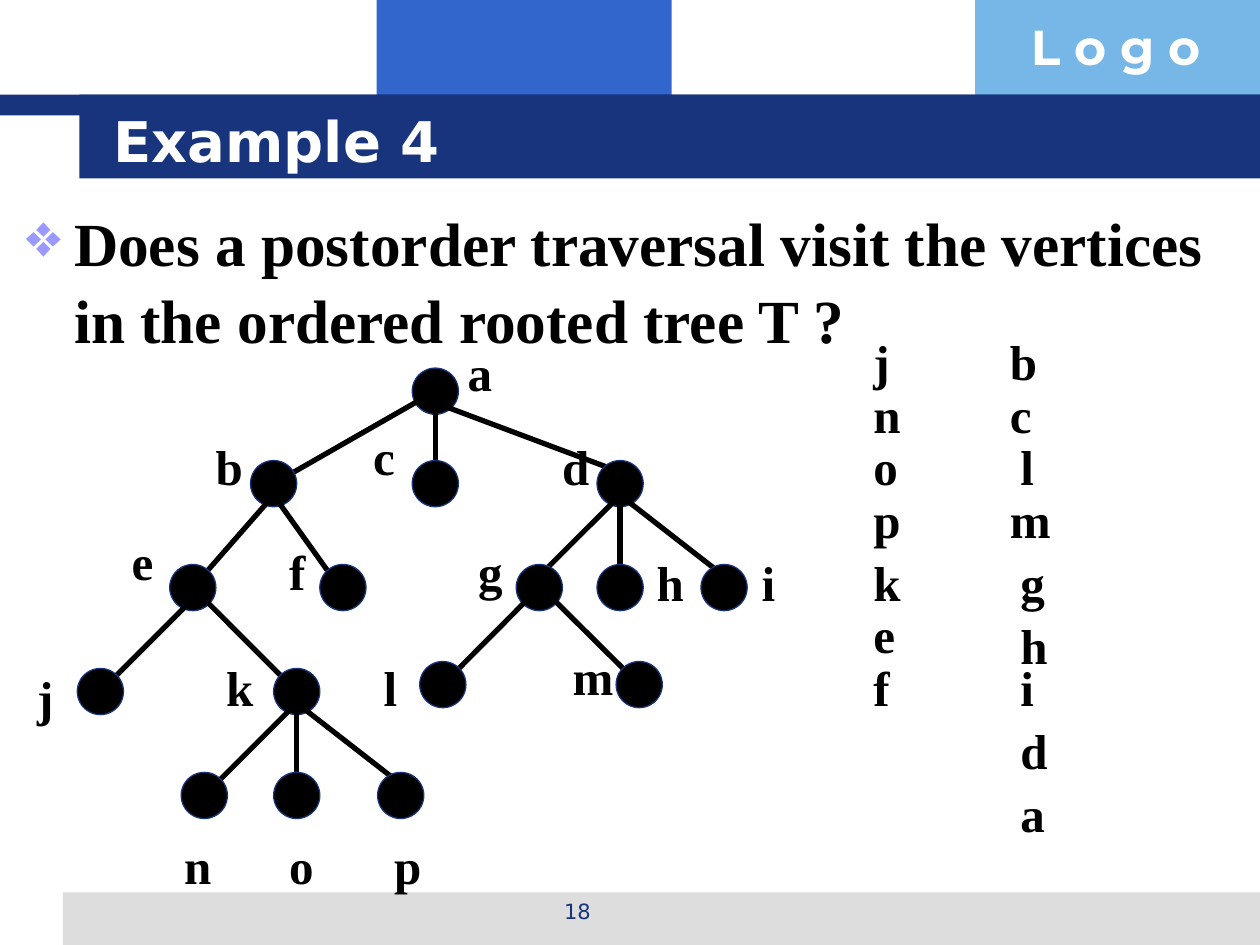
from lxml.etree import SubElement
from pptx import Presentation
from pptx.dml.color import RGBColor as RGB
from pptx.enum.shapes import MSO_CONNECTOR as Link, MSO_SHAPE as Kind
from pptx.enum.text import MSO_ANCHOR as Anchor, PP_ALIGN as Align
from pptx.oxml.ns import qn
from pptx.util import Inches, Pt

NAVY = RGB(0x17, 0x34, 0x7D)
BLUE = RGB(0x33, 0x66, 0xCC)
SKY = RGB(0x77, 0xB7, 0xE7)
GREY = RGB(0xDD, 0xDD, 0xDD)
LILAC = RGB(0x99, 0x99, 0xFF)
BLACK = RGB(0, 0, 0)
WHITE = RGB(0xFF, 0xFF, 0xFF)
SANS, SERIF, BRAND = "DejaVu Sans", "Times New Roman", "Montserrat"

WIDE, HIGH = 10, 7.5
COLS, ROWS = 120, 90

# The tree has its own finer grid, counted from the centre of the root.
STEP = 1.1
ROOT = (41.46, 37.26)
MID = (0, 0)
DOWN, UP = (0, 1), (0, -1)

# name, place, label cell, parent, shift of the edge at parent and at child
TREE = [
    ("a", (0, 0), (43, 32), None, MID, MID),
    ("b", (-14, 8), (19, 41), "a", MID, MID),
    ("c", (0, 8), (34, 40), "a", MID, MID),
    ("d", (16, 8), (52, 41), "a", DOWN, UP),
    ("e", (-21, 17), (11, 50), "b", DOWN, MID),
    ("f", (-8, 17), (26, 51), "b", DOWN, (-1, -1)),
    ("j", (-29, 26), (2, 63), "e", DOWN, MID),
    ("k", (-12, 26), (20, 62), "e", (1, 1), (-1, -1)),
    ("n", (-20, 35), (16, 79), "k", DOWN, MID),
    ("o", (-12, 35), (26, 79), "k", DOWN, MID),
    ("p", (-3, 35), (36, 79), "k", DOWN, UP),
    ("g", (9, 17), (44, 51), "d", DOWN, (-1, 0)),
    ("h", (16, 17), (61, 52), "d", DOWN, MID),
    ("i", (25, 17), (71, 52), "d", DOWN, UP),
    ("l", (0.65, 25.4), (35, 62), "g", (-0.4, 0.4), MID),
    ("m", (17.65, 25.4), (53, 61), "g", (0.6, 0.4), (-1, -1)),
]

# letters, column of each, row of each
ORDER = [
    ("jnopkef", [82] * 7, [31, 36, 41, 46, 52, 57, 62]),
    ("bclmghida", [95, 95, 96, 95] + [96] * 5,
     [31, 36, 41, 46, 52, 58, 62, 68, 74]),
]


def col(n):
    return Inches(WIDE * n / COLS)


def row(n):
    return Inches(HIGH * n / ROWS)


def spot(place, shift=MID):
    """Turn a place in the tree into a column and a row of the slide."""
    return [r + STEP * (p + s) for r, p, s in zip(ROOT, place, shift)]


class Board:
    def __init__(self, slide):
        self.shapes = slide.shapes

    def form(self, kind, x, y, w, h, fill, edge=None):
        shape = self.shapes.add_shape(kind, col(x), row(y), col(w), row(h))
        shape.shadow.inherit = False
        shape.fill.solid()
        shape.fill.fore_color.rgb = fill
        if edge is None:
            shape.line.fill.background()
        else:
            shape.line.color.rgb = edge
            shape.line.width = Pt(0.75)

    def bar(self, x, y, w, h, fill):
        self.form(Kind.RECTANGLE, x, y, w, h, fill)

    def dot(self, place):
        x, y = spot(place)
        size = 4 * STEP
        self.form(Kind.OVAL, x - size / 2, y - size / 2, size, size,
                  BLACK, NAVY)

    def edge(self, start, end):
        (x1, y1), (x2, y2) = start, end
        line = self.shapes.add_connector(
            Link.STRAIGHT, col(x1), row(y1), col(x2), row(y2))
        line.line.color.rgb = BLACK
        line.line.width = Pt(3)
        SubElement(line._element.spPr, qn("a:effectLst"))

    def text(self, words, x, y, w, h, size=28, face=SERIF, ink=BLACK,
             bold=True, align=Align.LEFT, anchor=Anchor.TOP):
        box = self.shapes.add_textbox(col(x), row(y), col(w), row(h))
        frame = box.text_frame
        frame.word_wrap = True
        frame.vertical_anchor = anchor
        para = frame.paragraphs[0]
        para.alignment = align
        run = para.add_run()
        run.text = words
        font = run.font
        font.size, font.name, font.bold = Pt(size), face, bold
        font.color.rgb = ink
        return para

    def letter(self, name, x, y):
        self.text(name, x, y, 5, 6.84)

    def bullet(self, words, x, y, w, h, size):
        para = self.text(words, x, y, w, h, size)
        para.line_spacing = 1.05
        props = para._p.get_or_add_pPr()
        props.set("marL", str(Inches(0.38)))
        props.set("indent", str(-Inches(0.38)))
        tint = SubElement(props, qn("a:buClr"))
        SubElement(tint, qn("a:srgbClr"), val=str(LILAC))
        SubElement(props, qn("a:buChar"), char="❖")


def frame(board):
    board.bar(35.88, 0, 28.08, 11.04, BLUE)
    board.bar(92.88, 0, 27.12, 11.04, SKY)
    board.bar(6, 85, 114, 5, GREY)
    board.bar(0, 9, 120, 2, NAVY)
    board.bar(7.56, 9, 112.44, 8, NAVY)
    board.text("L o g o", 97, 1, 23, 6.84, face=BRAND, ink=WHITE)
    board.text("18", 41, 85, 28, 4.2, 12, SANS, NAVY, False, Align.CENTER)
    board.text("Example 4", 9.6, 9.6, 102.4, 7.4, 32, SANS, WHITE,
               anchor=Anchor.MIDDLE)


def tree(board):
    places = {name: place for name, place, *_ in TREE}
    for name, place, _, parent, start, end in TREE:
        if parent:
            board.edge(spot(places[parent], start), spot(place, end))
        board.dot(place)
    for name, _, (x, y), *_ in TREE:
        board.letter(name, x + 0.36, y)


def main():
    deck = Presentation()
    deck.slide_width, deck.slide_height = Inches(WIDE), Inches(HIGH)
    board = Board(deck.slides.add_slide(deck.slide_layouts[6]))
    frame(board)
    board.bullet("Does a postorder traversal visit the vertices "
                 "in the ordered rooted tree T ?",
                 1.32, 18.6, 118, 63.4, 35)
    tree(board)
    for names, xs, ys in ORDER:
        for name, x, y in zip(names, xs, ys):
            board.letter(name, x, y)
    deck.save("out.pptx")


if __name__ == "__main__":
    main()
